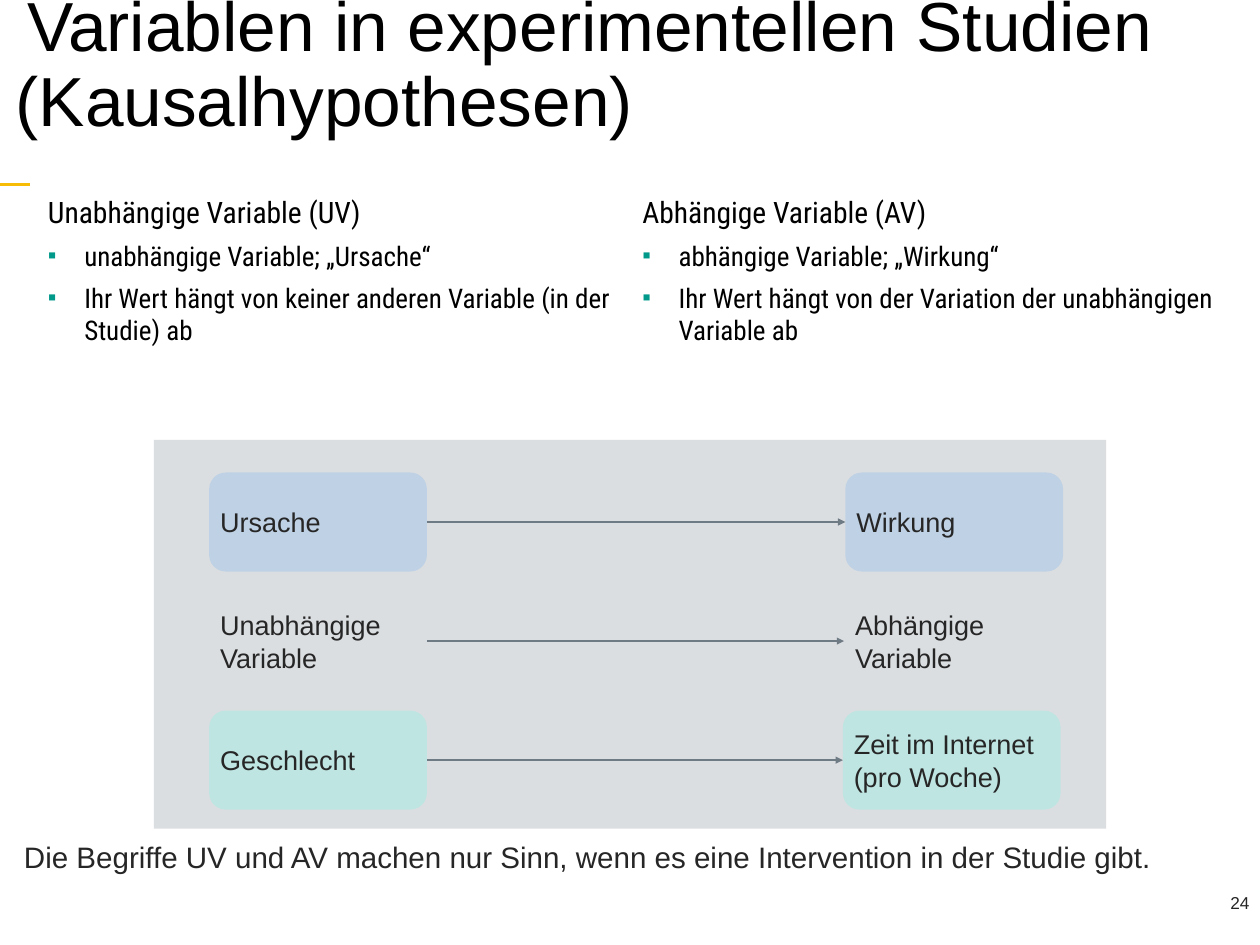
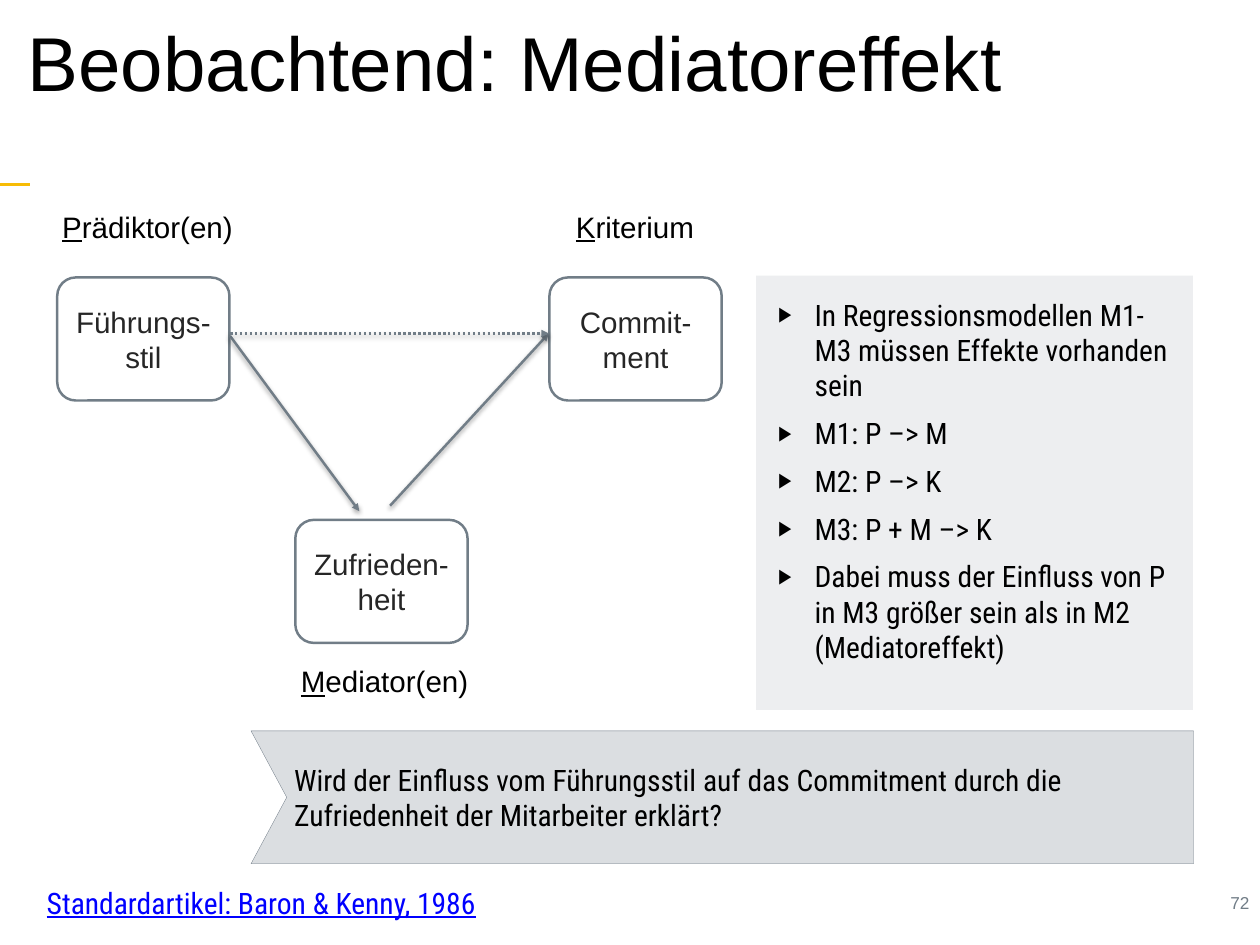
from dataclasses import dataclass

from lxml import etree
from pptx import Presentation
from pptx.dml.color import RGBColor
from pptx.enum.dml import MSO_LINE
from pptx.enum.shapes import MSO_CONNECTOR, MSO_SHAPE
from pptx.enum.text import MSO_ANCHOR, PP_ALIGN
from pptx.oxml.ns import qn
from pptx.util import Pt

RECT, ROUNDED = MSO_SHAPE.RECTANGLE, MSO_SHAPE.ROUNDED_RECTANGLE
STRAIGHT = MSO_CONNECTOR.STRAIGHT
TOP, MIDDLE = MSO_ANCHOR.TOP, MSO_ANCHOR.MIDDLE
LEFT, CENTER, RIGHT = PP_ALIGN.LEFT, PP_ALIGN.CENTER, PP_ALIGN.RIGHT
DOTTED = MSO_LINE.ROUND_DOT
RIGHT_SITE, LEFT_SITE = 3, 1


@dataclass(frozen=True)
class Theme:
    sans: str = "Arial"
    condensed: str = "Roboto Condensed"
    black: str = "000000"
    ink: str = "262626"
    white: str = "FFFFFF"
    accent: str = "F7BC05"
    teal: str = "00998A"
    gray: str = "717D87"
    arrow: str = "6E7A84"
    panel: str = "DBDEE1"
    pale: str = "EDEEF0"
    blue_box: str = "BFD1E4"
    green_box: str = "BFE5E2"
    link: str = "0000FF"
    body: float = 24
    small: float = 22
    number: float = 14


T = Theme()
WIDTH, HEIGHT = 1024, 768

# Slide 1
VARIABLES_TITLE = "Variablen in experimentellen Studien (Kausalhypothesen)"
DEFINITIONS = [
    ("Unabhängige Variable (UV)",
     ["unabhängige Variable; „Ursache“",
      "Ihr Wert hängt von keiner anderen Variable (in der Studie) ab"]),
    ("Abhängige Variable (AV)",
     ["abhängige Variable; „Wirkung“",
      "Ihr Wert hängt von der Variation der unabhängigen Variable ab"]),
]
CAUSAL_ROWS = [
    ("Ursache", "Wirkung", T.blue_box),
    ("Unabhängige Variable", "Abhängige Variable", T.panel),
    ("Geschlecht", "Zeit im Internet\n(pro Woche)", T.green_box),
]
INTERVENTION_NOTE = ("Die Begriffe UV und AV machen nur Sinn, "
                     "wenn es eine Intervention in der Studie gibt.")

# Slide 2
MEDIATOR_TITLE = "Beobachtend: Mediatoreffekt"
FACTORS = [  # text, left, top
    ("Führungs-\nstil", 46.5, 225.5),
    ("Commit-\nment", 446.5, 225.5),
    ("Zufrieden-\nheit", 240, 422.5),
]
ROLES = [  # text, left, top, width
    ("Prädiktor(en)", 45.5, 164.5, 150),
    ("Kriterium", 463, 164.5, 107),
    ("Mediator(en)", 239.5, 534, 148),
]
EFFECTS = [  # start, end, dash
    ((187, 273), (292, 415.5), None),
    ((317, 411), (446, 271), None),
    ((187, 271), (446, 271), DOTTED),
]
MODEL_STEPS = [
    "In Regressionsmodellen M1-M3 müssen Effekte vorhanden sein",
    "M1: P –> M",
    "M2: P –> K",
    "M3: P + M –> K",
    "Dabei muss der Einfluss von P in M3 größer sein als in M2 (Mediatoreffekt)",
]
QUESTION = ("Wird der Einfluss vom Führungsstil auf das Commitment durch die "
            "Zufriedenheit der Mitarbeiter erklärt?")
QUESTION_OUTLINE = [(204.5, 594.5), (970.5, 594.5), (970.5, 702.5),
                    (204.5, 702.5), (233, 648)]
SOURCE = "Standardartikel: Baron & Kenny, 1986"


def rgb(color):
    return RGBColor.from_string(color)


def child(parent, tag, **attributes):
    element = etree.SubElement(parent, qn(tag))
    for key, value in attributes.items():
        element.set(key, str(value))
    return element


def set_bullet(paragraph, char, color, percent, hang=29.5):
    props = paragraph._p.get_or_add_pPr()
    props.set("marL", str(Pt(hang)))
    props.set("indent", str(-Pt(hang)))
    child(child(props, "a:buClr"), "a:srgbClr", val=color)
    child(props, "a:buSzPct", val=percent * 1000)
    child(props, "a:buFont", typeface=T.sans)
    child(props, "a:buChar", char=char)


def write(frame, text, *, font=T.sans, size=T.body, color=T.ink, align=LEFT,
          before=0, bullet=None, underline=0):
    """Add one paragraph; underline counts the leading letters to underline."""
    first = not frame.paragraphs[0].runs
    paragraph = frame.paragraphs[0] if first else frame.add_paragraph()
    paragraph.alignment = align
    if bullet:
        set_bullet(paragraph, *bullet)
    if not first:
        paragraph.space_before = Pt(before)
    for index, line in enumerate(text.split("\n")):
        if index:
            paragraph.add_line_break()
        for part, underlined in ((line[:underline], True),
                                 (line[underline:], False)):
            if part:
                run = paragraph.add_run()
                run.text = part
                run.font.name = font
                run.font.size = Pt(size)
                run.font.color.rgb = rgb(color)
                run.font.underline = underlined
    return paragraph


def set_frame(shape, insets=(5, 5, 5, 5), anchor=TOP, wrap=True):
    frame = shape.text_frame
    frame.word_wrap = wrap
    frame.vertical_anchor = anchor
    (frame.margin_left, frame.margin_top,
     frame.margin_right, frame.margin_bottom) = map(Pt, insets)
    return frame


def add_frame(slide, left, top, width, height, **layout):
    box = slide.shapes.add_textbox(Pt(left), Pt(top), Pt(width), Pt(height))
    return set_frame(box, **layout)


def paint(shape, fill, line=None, weight=0):
    shape.shadow.inherit = False
    shape.fill.solid()
    shape.fill.fore_color.rgb = rgb(fill)
    if line:
        shape.line.color.rgb = rgb(line)
        shape.line.width = Pt(weight)
    else:
        shape.line.fill.background()
    return shape


def add_block(slide, kind, left, top, width, height, fill, line=None,
              weight=0, corner=None):
    block = slide.shapes.add_shape(kind, Pt(left), Pt(top), Pt(width), Pt(height))
    if corner is not None:
        block.adjustments[0] = corner
    return paint(block, fill, line, weight)


def add_line(slide, start, end, color, weight, dash=None, arrow=True,
             shadow=False):
    line = slide.shapes.add_connector(STRAIGHT, *map(Pt, (*start, *end)))
    line.line.color.rgb = rgb(color)
    line.line.width = Pt(weight)
    if dash:
        line.line.dash_style = dash
    props = line.element.spPr
    if arrow:
        child(props.find(qn("a:ln")), "a:tailEnd", type="triangle")
    effects = child(props, "a:effectLst")
    if shadow:
        outer = child(effects, "a:outerShdw", blurRad=Pt(4), dist=Pt(2),
                      dir=90 * 60000, rotWithShape=0)
        child(child(outer, "a:srgbClr", val=T.black), "a:alpha", val=38000)
    return line


def start_slide(deck, title, title_size, indent, number, number_color):
    """Add a slide with the shared title, accent line and page number."""
    slide = deck.slides.add_slide(deck.slide_layouts[6])
    add_line(slide, (0, 150), (24.5, 150), T.accent, 3, arrow=False)
    frame = add_frame(slide, 0, -1.5, WIDTH, 111.5, insets=(3.6,) * 4,
                      anchor=MIDDLE)
    heading = write(frame, title, size=title_size, color=T.black)
    heading.line_spacing = 0.9
    props = heading._p.get_or_add_pPr()
    props.set("marL", str(Pt(indent)))
    props.set("indent", str(Pt(indent)))
    write(add_frame(slide, 850, 720, 170.5, 26), number, size=T.number,
          color=number_color, align=RIGHT)
    return slide


def build_variables(deck):
    slide = start_slide(deck, VARIABLES_TITLE, 56.4, 9.2, "24", T.ink)
    add_block(slide, RECT, 125, 357.5, 774, 316, T.panel)

    for column, (term, traits) in enumerate(DEFINITIONS):
        frame = add_frame(slide, 34 + 483 * column, 152.5, 486, 139)
        write(frame, term, font=T.condensed, color=T.black)
        for trait in traits:
            write(frame, trait, font=T.condensed, size=T.small, color=T.black,
                  before=8, bullet=("▪", T.teal, 90))

    for row, (cause, effect, fill) in enumerate(CAUSAL_ROWS):
        ends = []
        for text, left in ((cause, 170), (effect, 687 - row)):
            box = add_block(slide, ROUNDED, left, 384 + 96.75 * row, 177, 80.5,
                            fill, corner=0.167)
            write(set_frame(box, anchor=MIDDLE), text, size=T.small)
            ends.append(box)
        arrow = add_line(slide, (0, 0), (0, 0), T.arrow, 1)
        arrow.begin_connect(ends[0], RIGHT_SITE)
        arrow.end_connect(ends[1], LEFT_SITE)

    write(add_frame(slide, 14.5, 677, 927, 37, wrap=False), INTERVENTION_NOTE)


def build_mediator(deck):
    slide = start_slide(deck, MEDIATOR_TITLE, 62, 9.5, "72", T.gray)

    outline = slide.shapes.build_freeform(*QUESTION_OUTLINE[0], scale=Pt(1))
    outline.add_line_segments(QUESTION_OUTLINE[1:], close=True)
    banner = paint(outline.convert_to_shape(), T.panel, T.gray, 0.25)
    write(set_frame(banner, insets=(35, 0, 5, 0), anchor=MIDDLE), QUESTION,
          font=T.condensed, color=T.black)

    steps = add_block(slide, RECT, 614.5, 224, 355, 353, T.pale)
    frame = set_frame(steps, insets=(18, 17, 14, 5))
    for step in MODEL_STEPS:
        write(frame, step, font=T.condensed, color=T.black, before=10,
              bullet=("▶︎", T.black, 70))

    for text, left, top in FACTORS:
        factor = add_block(slide, ROUNDED, left, top, 140, 100, T.white,
                           T.gray, 2, corner=0.15)
        write(set_frame(factor, anchor=MIDDLE), text, align=CENTER)
    for start, end, dash in EFFECTS:
        add_line(slide, start, end, T.gray, 2, dash=dash, shadow=True)
    for text, left, top, width in ROLES:
        write(add_frame(slide, left, top, width, 37, wrap=False), text,
              color=T.black, underline=1)

    write(add_frame(slide, 33, 714, 359, 38, wrap=False), SOURCE,
          font=T.condensed, color=T.link, underline=len(SOURCE))


def main():
    deck = Presentation()
    deck.slide_width, deck.slide_height = Pt(WIDTH), Pt(HEIGHT)
    build_variables(deck)
    build_mediator(deck)
    deck.save("out.pptx")


if __name__ == "__main__":
    main()
